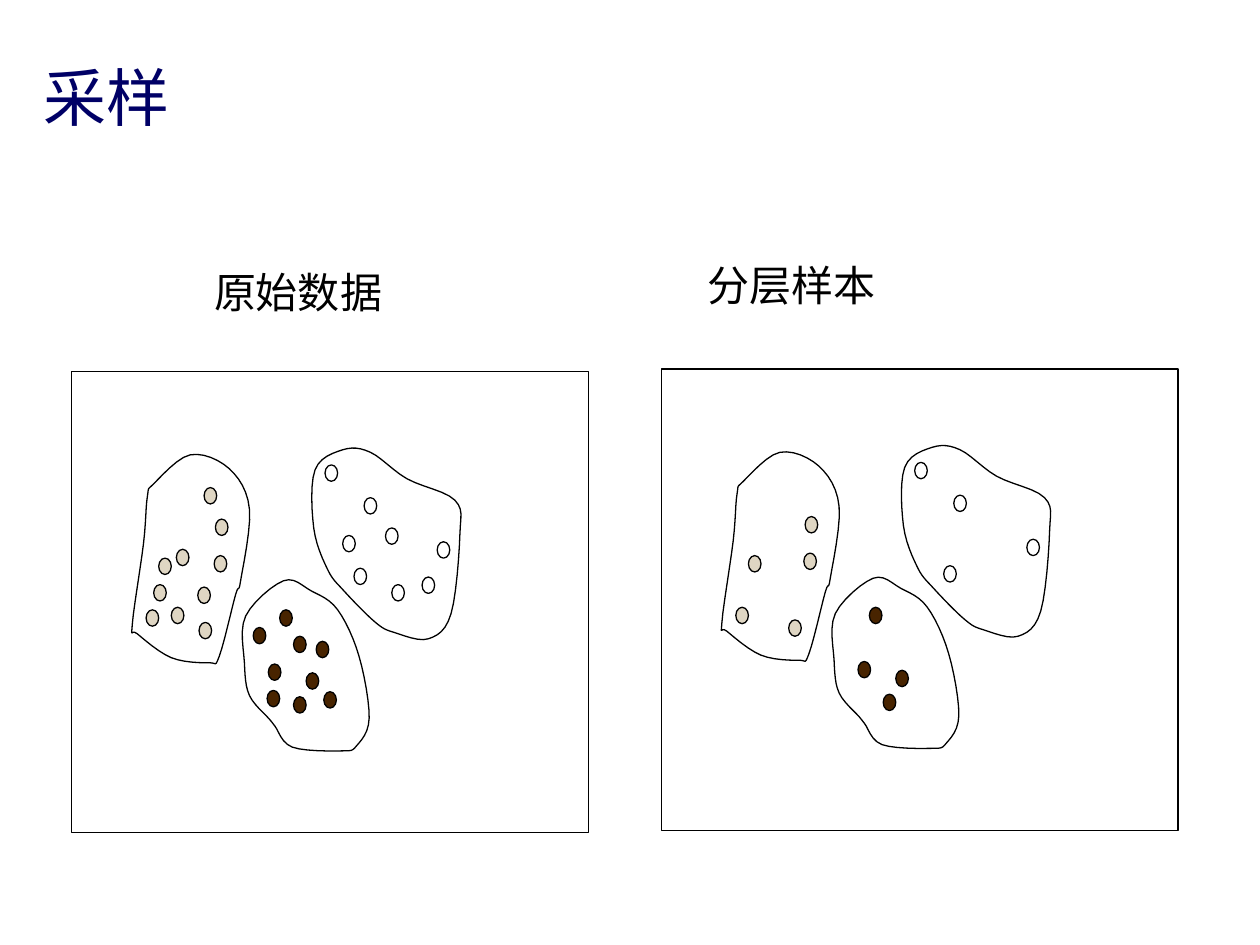
import pptx
import pptx.util
import pptx.dml.color
import pptx.enum.shapes
import pptx.enum.text

Inches = pptx.util.Inches
SHAPE = pptx.enum.shapes.MSO_SHAPE
ANCHOR = pptx.enum.text.MSO_ANCHOR
AUTO = pptx.enum.text.MSO_AUTO_SIZE

TEXTS = [
    ("采样", (0.25, 0.53, 9.42, 0.58), 36, "Montserrat", "000066", ANCHOR.BOTTOM, True),
    ("原始数据", (1.6, 2.07, 1.61, 0.5), 24, "Times New Roman", "000000", ANCHOR.TOP, False),
    ("分层样本", (5.52, 2.01, 3.57, 0.5), 24, "Times New Roman", "000000", ANCHOR.TOP, False),
]
FRAME = (0.57, 2.95, 4.1, 3.66)
DOT = (0.1, 0.13)
SAMPLE_SHIFT = (4.68, -0.02)

STRATA = [
    {
        "color": "FFFFFF",
        "sampled": [(2.89, 3.95), (2.81, 4.51), (3.47, 4.3), (2.58, 3.69)],
        "others": [(3.06, 4.19), (2.72, 4.25), (3.35, 4.58), (3.11, 4.64)],
        "outline": [(3.61, 3.97), (3.65, 4.24), (3.58, 4.87), (3.4, 5.07), (3.13, 5.02),
                    (2.98, 4.94), (2.73, 4.69), (2.6, 4.52), (2.49, 4.19), (2.5, 3.73),
                    (2.72, 3.57), (2.94, 3.59), (3.23, 3.8)],
    },
    {
        "color": "482400",
        "sampled": [(2.33, 5.53), (2.43, 5.34), (2.13, 5.27), (2.22, 4.84)],
        "others": [(2.01, 4.98), (2.51, 5.09), (2.12, 5.48), (2.33, 5.05), (2.57, 5.49)],
        "outline": [(2.18, 5.76), (2.14, 5.71), (1.98, 5.52), (1.94, 5.26), (1.95, 4.89),
                    (2.25, 4.61), (2.47, 4.69), (2.68, 4.84), (2.85, 5.21), (2.93, 5.7),
                    (2.83, 5.92), (2.71, 5.96), (2.32, 5.93)],
    },
    {
        "color": "DFD6C3",
        "sampled": [(1.16, 4.84), (1.26, 4.43), (1.58, 4.94), (1.7, 4.41), (1.71, 4.12)],
        "others": [(1.36, 4.82), (1.22, 4.64), (1.57, 4.66), (1.4, 4.36), (1.62, 3.87)],
        "outline": [(1.87, 4.72), (1.74, 5.21), (1.66, 5.26), (1.36, 5.22), (1.09, 5.03),
                    (1.05, 4.96), (1.14, 4.31), (1.17, 3.94), (1.22, 3.84), (1.51, 3.61),
                    (1.82, 3.72), (1.98, 4.04), (1.91, 4.61)],
    },
]


def rgb(color):
    return pptx.dml.color.RGBColor.from_string(color)


def style(sp, fill=None):
    sp.shadow.inherit = False
    if fill:
        sp.fill.solid()
        sp.fill.fore_color.rgb = rgb(fill)
    else:
        sp.fill.background()
    sp.line.color.rgb = rgb("000000")
    sp.line.width = pptx.util.Pt(0.75)


def smooth_points(outline, steps=6):
    points = []
    count = len(outline)
    for i in range(count):
        a, b, c, d = (outline[(i + k) % count] for k in range(-1, 3))
        for k in range(steps):
            t = k / steps
            points.append(tuple(
                b[n] + t / 2 * (c[n] - a[n]
                                + t * (2 * a[n] - 5 * b[n] + 4 * c[n] - d[n])
                                + t * t * (3 * (b[n] - c[n]) + d[n] - a[n]))
                for n in (0, 1)
            ))
    return points


def add_panel(s, dx, dy, sampled_only):
    shapes = s.shapes.add_group_shape().shapes
    x, y, w, h = FRAME
    style(shapes.add_shape(SHAPE.RECTANGLE, Inches(x + dx), Inches(y + dy), Inches(w), Inches(h)))
    for stratum in STRATA:
        dots = stratum["sampled"] + ([] if sampled_only else stratum["others"])
        for x, y in dots:
            sp = shapes.add_shape(SHAPE.FLOWCHART_CONNECTOR, Inches(x + dx), Inches(y + dy),
                                  *map(Inches, DOT))
            style(sp, stratum["color"])
        points = [(Inches(x + dx), Inches(y + dy)) for x, y in smooth_points(stratum["outline"])]
        builder = shapes.build_freeform(*points[0])
        builder.add_line_segments(points[1:], close=True)
        style(builder.convert_to_shape())


def add_text(s, text, box, size, font, color, anchor, wrap):
    tf = s.shapes.add_textbox(*map(Inches, box)).text_frame
    tf.word_wrap = wrap
    tf.auto_size = AUTO.NONE if wrap else AUTO.SHAPE_TO_FIT_TEXT
    tf.vertical_anchor = anchor
    p = tf.paragraphs[0]
    p.text = text
    p.font.size = pptx.util.Pt(size)
    p.font.name = font
    p.font.color.rgb = rgb(color)


def main():
    prs = pptx.Presentation()
    prs.slide_width, prs.slide_height = Inches(10), Inches(7.5)
    s = prs.slides.add_slide(prs.slide_layouts[6])
    add_panel(s, 0, 0, False)
    add_panel(s, *SAMPLE_SHIFT, True)
    for item in TEXTS:
        add_text(s, *item)
    prs.save("out.pptx")


if __name__ == "__main__":
    main()
